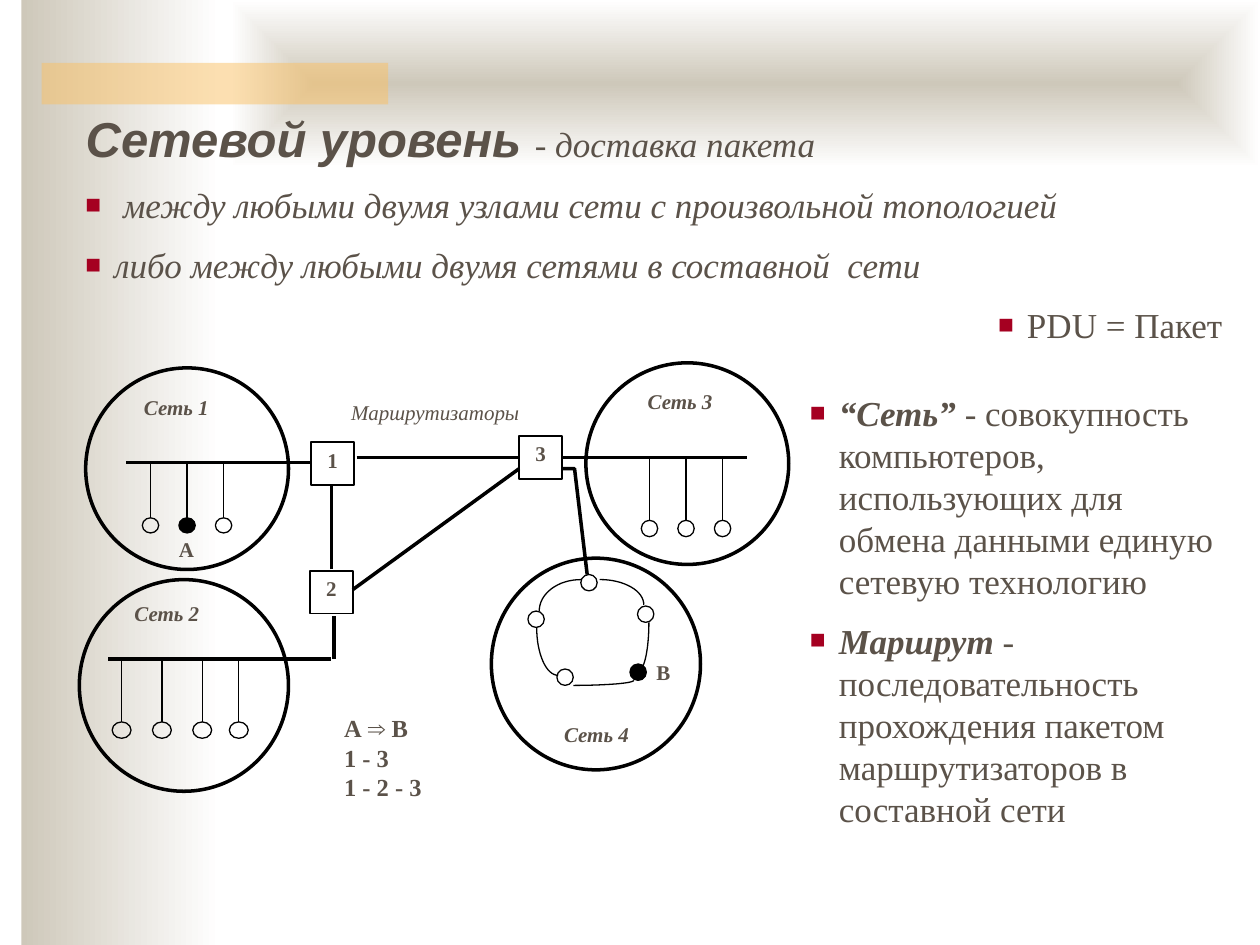
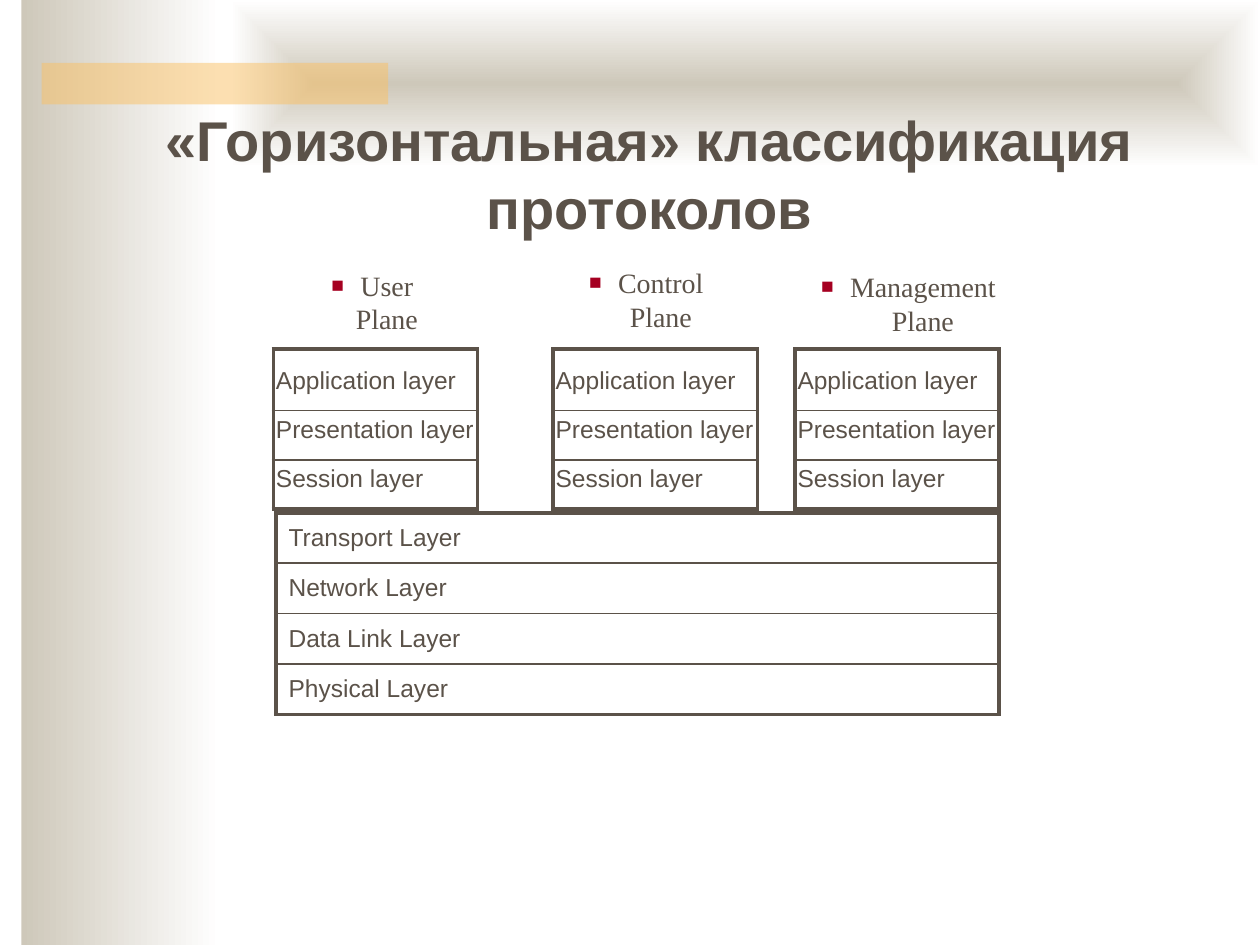
from math import cos, pi, sin

from lxml.etree import SubElement as Sub
from pptx import Presentation
from pptx.dml.color import RGBColor
from pptx.enum.shapes import MSO_CONNECTOR as Conn, MSO_SHAPE as Kind
from pptx.enum.text import MSO_ANCHOR as Anchor, MSO_AUTO_SIZE as Fit, PP_ALIGN as Align
from pptx.oxml.ns import qn
from pptx.util import Inches, Pt

HUES = {
    "ink": "5B5249",
    "sand": "CEC8BA",
    "gold": "FAC164",
    "mark": "A50021",
    "black": "000000",
    "white": "FFFFFF",
}
SANS, SERIF = "Arial", "Times New Roman"
THIN, THICK = 0.75, 2
HANG = 0.23


def hue(name):
    return RGBColor.from_string(HUES[name])


def inch(*nums):
    return [Inches(n) for n in nums]


def style(font, size, face=SERIF, bold=False, slant=False):
    font.size, font.name = Pt(size), face
    font.bold, font.italic = bold, slant
    font.color.rgb = hue("ink")


def frame(shape, pads=(0.1, 0.05, 0.1, 0.05)):
    """Give the shape's text wrapping, padding and a top anchor."""
    tf = shape.text_frame
    tf.word_wrap, tf.auto_size = True, Fit.NONE
    tf.vertical_anchor = Anchor.TOP
    tf.margin_left, tf.margin_top, tf.margin_right, tf.margin_bottom = inch(*pads)
    return tf


def bullet(para):
    pr = para._p.get_or_add_pPr()
    pr.set("marL", str(Inches(HANG)))
    pr.set("indent", str(-Inches(HANG)))
    Sub(Sub(pr, qn("a:buClr")), qn("a:srgbClr"), val=HUES["mark"])
    Sub(pr, qn("a:buSzPct"), val="75000")
    Sub(pr, qn("a:buFont"), typeface=SERIF)
    Sub(pr, qn("a:buChar"), char="■")


def points(slide, box, items, size=20, align=Align.LEFT, slant=False):
    """Add a bulleted list; an item is (lead, rest), the lead being bold italic."""
    tf = frame(slide.shapes.add_textbox(*inch(*box)))
    for i, (lead, rest) in enumerate(items):
        para = tf.add_paragraph() if i else tf.paragraphs[0]
        para.alignment = align
        para.space_before = Pt(10 if i else 0)
        bullet(para)
        style(para.font, size, slant=slant)
        if lead:
            run = para.add_run()
            run.text = lead
            run.font.bold = run.font.italic = True
        if "\v" in rest:
            para.text = rest
        else:
            para.add_run().text = rest


def label(shape, lines, size=12, align=Align.CENTER, bold=True, slant=False):
    tf = frame(shape, (0.04,) * 4)
    tf.text = lines
    for para in tf.paragraphs:
        para.alignment = align
        style(para.font, size, bold=bold, slant=slant)


def note(slide, box, lines, **look):
    label(slide.shapes.add_textbox(*inch(*box)), lines, **look)


def shape(slide, kind, box, width=THIN, fill=None):
    new = slide.shapes.add_shape(kind, *inch(*box))
    new.shadow.inherit = False
    if fill:
        new.fill.solid()
        new.fill.fore_color.rgb = hue(fill)
    else:
        new.fill.background()
    if width:
        new.line.color.rgb, new.line.width = hue("black"), Pt(width)
    else:
        new.line.fill.background()
    return new


def line(slide, x1, y1, x2, y2, width=THICK):
    new = slide.shapes.add_connector(Conn.STRAIGHT, *inch(x1, y1, x2, y2))
    new.line.color.rgb, new.line.width = hue("black"), Pt(width)
    Sub(new._element.spPr, qn("a:effectLst"))


def trace(slide, dots, width=THICK):
    """Draw an open line through the dots."""
    dots = [inch(*dot) for dot in dots]
    path = slide.shapes.build_freeform(*dots[0])
    path.add_line_segments(dots[1:], close=False)
    new = path.convert_to_shape()
    new.shadow.inherit = False
    new.fill.background()
    new.line.color.rgb, new.line.width = hue("black"), Pt(width)


def arc(slide, cx, cy, dx, dy, steps=16):
    """Draw a quarter ellipse; the signs of dx and dy choose the quarter."""
    turns = [pi / 2 * i / steps for i in range(steps + 1)]
    trace(slide, [(cx + dx * sin(t), cy + dy * cos(t)) for t in turns], THIN)


def comb(slide, bus, lefts, top, wide, high=0.13, dark=None):
    """Hang hosts from a bus line; the host numbered dark is filled."""
    for i, left in enumerate(lefts):
        fill = "black" if i == dark else None
        shape(slide, Kind.OVAL, (left, top, wide, high), fill=fill)
        mid = left + wide / 2
        line(slide, mid, top, mid, bus, THIN)


def fade(band):
    band.fill.gradient()
    for stop, name in zip(band.fill.gradient_stops, ("sand", "white")):
        stop.color.rgb = hue(name)
    band.fill.gradient_angle = 0


def bands(slide, layout):
    """Draw the background bands and move them to the layout."""
    side = shape(slide, Kind.RECTANGLE, (0.17, 0, 1.58, 7.5), 0)
    head = shape(slide, Kind.RECTANGLE, (1.83, 0, 8.17, 1.33), 0)
    bar = shape(slide, Kind.RECTANGLE, (0.33, 0.5, 2.75, 0.33), 0, "gold")
    fade(side)
    fade(head)
    grad = head._element.spPr.find(qn("a:gradFill"))
    grad.remove(grad.find(qn("a:lin")))
    way = Sub(grad, qn("a:path"), path="shape")
    Sub(way, qn("a:fillToRect"), **dict.fromkeys("ltrb", "50000"))
    tint = next(bar._element.spPr.iter(qn("a:srgbClr")))
    Sub(tint, qn("a:alpha"), val="50000")
    for band in (side, head, bar):
        layout.shapes.element.append(band.element)


def title(slide, box, text, size, align=Align.LEFT, slant=False):
    head = slide.shapes.title
    head.left, head.top, head.width, head.height = inch(*box)
    para = frame(head).paragraphs[0]
    para.alignment = align
    style(para.font, size, SANS, True, slant)
    para.add_run().text = text
    return para


def edge(cell, sides):
    """Set the borders of a cell from pairs of side and width."""
    pr = cell._tc.get_or_add_tcPr()
    for side, width in sides:
        ln = Sub(pr, qn("a:ln" + side), w=str(Pt(width)))
        Sub(Sub(ln, qn("a:solidFill")), qn("a:srgbClr"), val=HUES["ink"])


def stack(slide, left, top, wide, highs, names, pads, mids):
    """Add a one-column table of layers; rows in mids are centred vertically."""
    last = len(names) - 1
    box = inch(left, top, wide, sum(highs))
    grid = slide.shapes.add_table(len(names), 1, *box).table
    grid.first_row = grid.horz_banding = False
    for i, (high, name) in enumerate(zip(highs, names)):
        grid.rows[i].height = Inches(high)
        cell = grid.cell(i, 0)
        edge(cell, [("L", 2.25), ("R", 2.25), ("T", 1 if i else 2.25),
                    ("B", 1 if i < last else 2.25)])
        cell.fill.background()
        cell.margin_left, cell.margin_top, cell.margin_right, cell.margin_bottom = inch(*pads)
        cell.vertical_anchor = Anchor.MIDDLE if i in mids else Anchor.TOP
        cell.text = name
        style(cell.text_frame.paragraphs[0].font, 14, SANS)


def links(slide):
    for ends in ((1, 3.67, 2.46, 3.67), (2.63, 4.52, 2.63, 3.84),
                 (2.83, 3.63, 4.11, 3.63), (4.47, 3.63, 5.93, 3.63),
                 (0.86, 5.23, 2.63, 5.23), (2.65, 5.23, 2.65, 4.89)):
        line(slide, *ends)
    trace(slide, [(2.8, 4.68), (4.12, 3.72)])
    trace(slide, [(4.47, 3.72), (4.56, 3.72), (4.66, 4.56)])


def ring(slide):
    for curve in ((4.61, 4.85, -0.33, -0.25), (4.76, 4.8, 0.35, -0.2),
                  (4.43, 4.98, -0.17, 0.38), (4.55, 5.4, 0.48, 0.04),
                  (5.07, 4.94, 0.08, 0.38)):
        arc(slide, *curve)
    for left, top in ((4.61, 4.56), (5.06, 4.81), (4.19, 4.85), (4.42, 5.31)):
        shape(slide, Kind.OVAL, (left, top, 0.13, 0.13))
    shape(slide, Kind.OVAL, (5, 5.27, 0.13, 0.13), fill="black")


def nets(slide):
    comb(slide, 3.67, (1.13, 1.42, 1.71), 4.11, 0.13, 0.12, dark=1)
    comb(slide, 5.23, (0.89, 1.21, 1.53, 1.82), 5.73, 0.15)
    comb(slide, 3.63, (5.09, 5.38, 5.67), 4.13, 0.13)
    ring(slide)
    small, large = (1.61, 1.6), (1.66, 1.68)
    spots = (((0.68, 2.92) + small, (0.96, 3.09, 0.88, 0.38), Align.CENTER),
             ((0.63, 4.6) + large, (0.86, 4.73, 0.93, 0.46), Align.CENTER),
             ((4.65, 2.88) + small, (5.1, 3.04, 0.88, 0.38), Align.LEFT),
             ((3.9, 4.43) + large, (4.32, 5.69, 0.83, 0.34), Align.CENTER))
    for num, (rim, spot, align) in enumerate(spots, 1):
        shape(slide, Kind.OVAL, rim, THICK)
        note(slide, spot, f"Сеть {num}", align=align, slant=True)


def routes(slide):
    title(slide, (0.58, 0.81, 9.14, 0.6), "Сетевой уровень ", 28, slant=True)
    para = slide.shapes.title.text_frame.paragraphs[0]
    for text, slant in (("- ", False), ("доставка пакета", True)):
        run = para.add_run()
        run.text = text
        style(run.font, 20, slant=slant)
    points(slide, (0.58, 1.41, 9.14, 0.96), [
        ("", " между любыми двумя узлами сети с произвольной топологией"),
        ("", "либо между любыми двумя сетями в составной  сети"),
    ], slant=True)
    nets(slide)
    links(slide)
    for num, spot in enumerate(((2.47, 3.51), (2.46, 4.53), (4.12, 3.46)), 1):
        label(shape(slide, Kind.RECTANGLE, spot + (0.34, 0.34), 1), str(num))
    note(slide, (2.42, 3.13, 2.07, 0.38), "Маршрутизаторы", bold=False, slant=True)
    note(slide, (1.32, 4.22, 0.32, 0.29), "А")
    note(slide, (5.17, 5.19, 0.32, 0.29), "В", align=Align.LEFT)
    note(slide, (2.69, 5.62, 0.89, 1.2), "А ⇒ В\n1 - 3\n1 - 2 - 3",
         size=14, align=Align.LEFT)
    points(slide, (6.33, 3.06, 3.55, 4.14), [
        ("“Сеть”", " - совокупность компьютеров, использующих для обмена "
                   "данными единую сетевую технологию"),
        ("Маршрут", " - последовательность прохождения пакетом "
                    "маршрутизаторов в составной сети"),
    ])
    points(slide, (6.81, 2.36, 2.99, 0.44), [("", "PDU = Пакет")], align=Align.RIGHT)


def planes(slide):
    title(slide, (0.43, 0.79, 9.45, 1.13),
          "«Горизонтальная» классификация протоколов", 32, Align.CENTER)
    upper = ("Application layer", "Presentation layer", "Session layer")
    lower = ("Transport Layer", "Network Layer", "Data Link Layer", "Physical Layer")
    for name, box, left in (("User\vPlane", (2.25, 2.08, 1.41, 0.64), 2.17),
                            ("Control\vPlane", (4.33, 2.06, 1.6, 0.64), 4.39),
                            ("Management Plane", (6.41, 2.09, 1.6, 0.64), 6.31)):
        points(slide, box, [("", name)], 16, Align.CENTER)
        stack(slide, left, 2.77, 1.62, (0.49, 0.39, 0.39), upper,
              (0.02, 0.04, 0, 0.02), mids=(0,))
    stack(slide, 2.19, 4.07, 5.74, (0.4,) * 4, lower,
          (0.1, 0.05, 0.1, 0.05), mids=range(4))


def main():
    deck = Presentation()
    deck.slide_width, deck.slide_height = inch(10, 7.5)
    layout = deck.slide_layouts[5]
    first, second = (deck.slides.add_slide(layout) for _ in range(2))
    bands(first, layout)
    routes(first)
    planes(second)
    deck.save("out.pptx")


if __name__ == "__main__":
    main()
